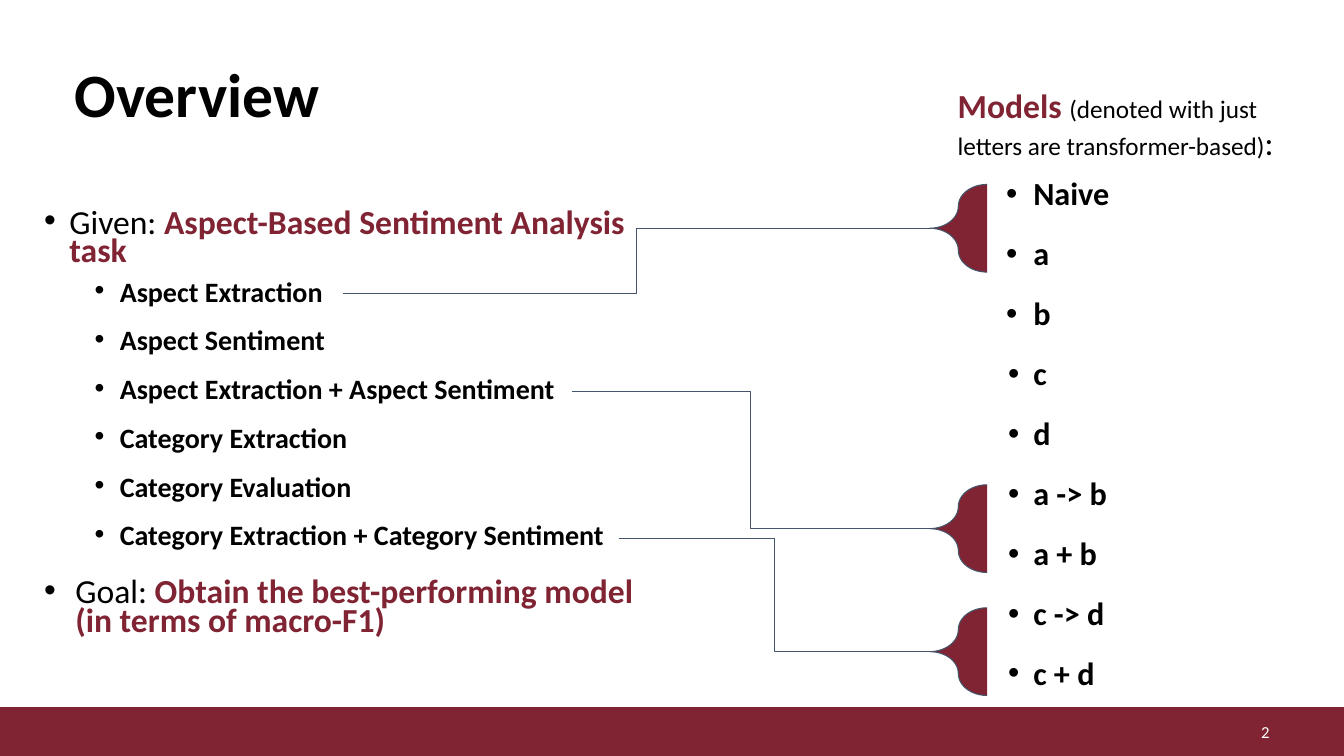
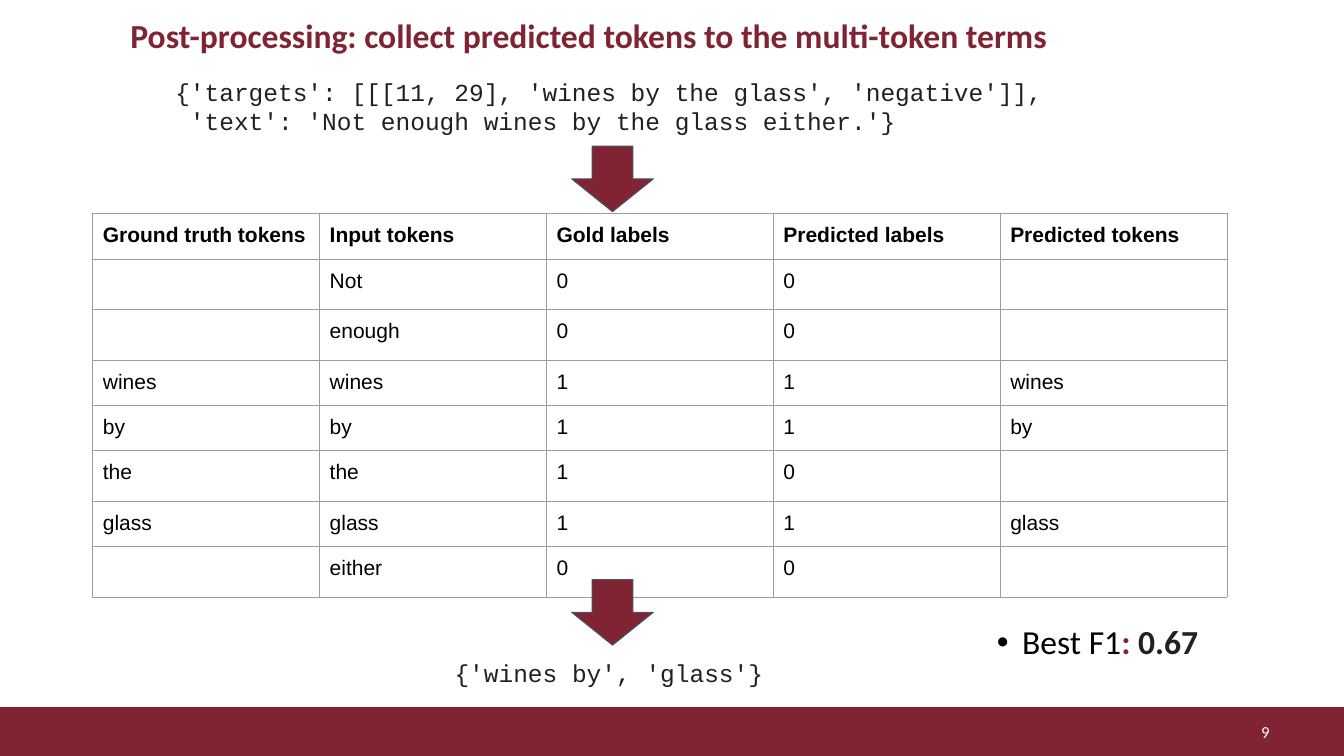
from dataclasses import dataclass

from lxml import etree
from pptx import Presentation
from pptx.dml.color import RGBColor
from pptx.enum.shapes import MSO_CONNECTOR, MSO_SHAPE
from pptx.enum.text import MSO_ANCHOR, PP_ALIGN
from pptx.oxml.ns import qn
from pptx.util import Inches, Pt

RECT = MSO_SHAPE.RECTANGLE
BRACE = MSO_SHAPE.LEFT_BRACE
DOWN_ARROW = MSO_SHAPE.DOWN_ARROW
ELBOW = MSO_CONNECTOR.ELBOW
TOP, MIDDLE = MSO_ANCHOR.TOP, MSO_ANCHOR.MIDDLE
LEFT, CENTER, RIGHT = PP_ALIGN.LEFT, PP_ALIGN.CENTER, PP_ALIGN.RIGHT


@dataclass(frozen=True)
class Theme:
    accent: str = "802433"
    ink: str = "000000"
    code_ink: str = "212121"
    paper: str = "FFFFFF"
    outline: str = "44546A"
    grid: str = "9E9E9E"
    sans: str = "Calibri"
    table_font: str = "Arial"
    mono: str = "Courier New"
    title: float = 44
    lead: float = 24
    model: float = 23
    task: float = 20
    note: float = 18
    code: float = 17.5
    cell: float = 15
    number: float = 12


THEME = Theme()


class Deck:
    def __init__(self, theme):
        self.theme = theme
        self.presentation = Presentation()
        self.presentation.slide_width = Inches(13.33)
        self.presentation.slide_height = Inches(7.5)
        self.slide = None

    def new_slide(self, number):
        layout = self.presentation.slide_layouts[6]
        self.slide = self.presentation.slides.add_slide(layout)
        self.shape(RECT, -0.03, 7.02, 13.42, 0.48, self.theme.accent, 1)
        footer = self.text_box(9.69, 7.06, 3, 0.4, anchor=MIDDLE)
        self.paragraph(footer, [self.run(number, self.theme.number, self.theme.paper)],
                       align=RIGHT)

    def run(self, words, size, color=None, bold=False, font=None):
        return words, size, color or self.theme.ink, bold, font or self.theme.sans

    def text_box(self, left, top, width, height, anchor=TOP, inset=0.05):
        box = self.slide.shapes.add_textbox(
            Inches(left), Inches(top), Inches(width), Inches(height))
        frame = box.text_frame
        frame.word_wrap = True
        frame.vertical_anchor = anchor
        frame.margin_left = frame.margin_right = Inches(0.1)
        frame.margin_top = frame.margin_bottom = Inches(inset)
        return frame

    def paragraph(self, frame, runs, align=LEFT, spacing=1.0, before=0,
                  indent=None, hang=0.25):
        first = frame.paragraphs[0]
        paragraph = frame.add_paragraph() if first.runs else first
        paragraph.alignment = align
        paragraph.line_spacing = spacing
        paragraph.space_before = Pt(before)
        if indent is not None:
            self.bullet(paragraph, indent, hang)
        for words, size, color, bold, font in runs:
            run = paragraph.add_run()
            run.text = words
            run.font.size = Pt(size)
            run.font.name = font
            run.font.bold = bold
            run.font.color.rgb = RGBColor.from_string(color)

    def bullet(self, paragraph, indent, hang):
        properties = paragraph._p.get_or_add_pPr()
        properties.set("marL", str(Inches(indent)))
        properties.set("indent", str(-Inches(hang)))
        color = etree.SubElement(properties, qn("a:buClr"))
        etree.SubElement(color, qn("a:srgbClr"), val=self.theme.ink)
        etree.SubElement(properties, qn("a:buFont"), typeface="Arial")
        etree.SubElement(properties, qn("a:buChar"), char="•")

    def shape(self, kind, left, top, width, height, line=None, weight=0.75):
        shape = self.slide.shapes.add_shape(
            kind, Inches(left), Inches(top), Inches(width), Inches(height))
        shape.shadow.inherit = False
        shape.fill.solid()
        shape.fill.fore_color.rgb = RGBColor.from_string(self.theme.accent)
        shape.line.color.rgb = RGBColor.from_string(line or self.theme.outline)
        shape.line.width = Pt(weight)
        return shape

    def brace(self, left, top, width, height):
        brace = self.shape(BRACE, left, top, width, height)
        brace.adjustments[0] = 0.5

    def elbow(self, x1, y1, x2, y2):
        link = self.slide.shapes.add_connector(
            ELBOW, Inches(x1), Inches(y1), Inches(x2), Inches(y2))
        link.line.color.rgb = RGBColor.from_string(self.theme.outline)
        link.line.width = Pt(0.75)
        etree.SubElement(link._element.spPr, qn("a:effectLst"))

    def code(self, left, top, width, height, lines):
        frame = self.text_box(left, top, width, height, inset=0.1)
        for line in lines:
            self.paragraph(frame, [self.run(line, self.theme.code, self.theme.code_ink,
                                            font=self.theme.mono)])

    def cell_border(self, cell):
        properties = cell._tc.get_or_add_tcPr()
        for side in ("a:lnL", "a:lnR", "a:lnT", "a:lnB"):
            line = etree.SubElement(properties, qn(side), w=str(Pt(0.75)))
            fill = etree.SubElement(line, qn("a:solidFill"))
            etree.SubElement(fill, qn("a:srgbClr"), val=self.theme.grid)

    def table(self, left, top, column_width, rows):
        heights = [0.5 if "" in row else 0.45 for row in rows]
        columns = len(rows[0])
        table = self.slide.shapes.add_table(
            len(rows), columns, Inches(left), Inches(top),
            Inches(column_width * columns), Inches(sum(heights))).table
        table.first_row = table.horz_banding = False
        for column in table.columns:
            column.width = Inches(column_width)
        for r, (row, height) in enumerate(zip(rows, heights)):
            table.rows[r].height = Inches(height)
            for c, words in enumerate(row):
                cell = table.cell(r, c)
                cell.margin_left = cell.margin_right = Inches(0.1)
                cell.margin_top = cell.margin_bottom = Inches(0.1)
                self.cell_border(cell)
                cell.fill.background()
                if words:
                    self.paragraph(cell.text_frame, [self.run(
                        words, self.theme.cell, bold=r == 0, font=self.theme.table_font)])


def overview(deck):
    deck.new_slide("2")
    title = deck.text_box(0.64, 0.53, 12.05, 0.87, anchor=MIDDLE)
    deck.paragraph(title, [deck.run("Overview", THEME.title, bold=True)], spacing=0.9)

    tasks = deck.text_box(0.34, 2.05, 6.34, 4.6)
    deck.paragraph(tasks, [
        deck.run("Given: ", THEME.lead),
        deck.run("Aspect-Based Sentiment Analysis task", THEME.lead, THEME.accent, True),
    ], spacing=0.7, indent=0.25)
    task_names = (
        "Aspect Extraction", "Aspect Sentiment", "Aspect Extraction + Aspect Sentiment",
        "Category Extraction", "Category Evaluation",
        "Category Extraction + Category Sentiment",
    )
    for i, name in enumerate(task_names):
        deck.paragraph(tasks, [deck.run(name, THEME.task, bold=True)],
                       spacing=0.7, before=18 if i else 11, indent=0.75)
    deck.paragraph(tasks, [
        deck.run("Goal: ", THEME.lead),
        deck.run("Obtain the best-performing model (in terms of macro-F1)",
                 THEME.lead, THEME.accent, True),
    ], spacing=0.7, before=22, indent=0.31, hang=0.31)

    models = deck.text_box(9.4, 0.79, 3.77, 6.2, inset=0.1)
    deck.paragraph(models, [
        deck.run("Models ", THEME.lead, THEME.accent, True),
        deck.run("(denoted with just letters are transformer-based)", THEME.note),
        deck.run(":", THEME.lead),
    ], spacing=0.9)
    model_names = ("Naive", "a", "b", "c", "d", "a -> b", "a + b", "c -> d", "c + d")
    for i, name in enumerate(model_names):
        deck.paragraph(models, [deck.run(name, THEME.model, bold=True)], spacing=0.9,
                       before=18 if i else 11, indent=0.75, hang=0.27 if i < 3 else 0.25)

    brace_left, brace_height = 9.22, 0.87
    for task_right, task_y, brace_top in (
            (3.4, 2.91, 1.83), (5.67, 3.88, 4.81), (6.14, 5.34, 6.03)):
        deck.brace(brace_left, brace_top, 0.57, brace_height)
        deck.elbow(task_right, task_y, brace_left, brace_top + brace_height / 2)


def post_processing(deck):
    deck.new_slide("9")
    heading = deck.text_box(-0.72, 0.09, 13.12, 0.57, inset=0.1)
    deck.paragraph(heading, [deck.run(
        "Post-processing: collect predicted tokens to the multi-token terms",
        THEME.lead, THEME.accent, True)], align=CENTER, spacing=0.9, before=5)

    deck.table(0.92, 2.12, 2.25, (
        ("Ground truth tokens", "Input tokens", "Gold labels",
         "Predicted labels", "Predicted tokens"),
        ("", "Not", "0", "0", ""),
        ("", "enough", "0", "0", ""),
        ("wines", "wines", "1", "1", "wines"),
        ("by", "by", "1", "1", "by"),
        ("the", "the", "1", "0", ""),
        ("glass", "glass", "1", "1", "glass"),
        ("", "either", "0", "0", ""),
    ))
    deck.code(1.64, 0.66, 8.86, 0.79, (
        "{'targets': [[[11, 29], 'wines by the glass', 'negative']],",
        " 'text': 'Not enough wines by the glass either.'}",
    ))
    for arrow_top in (1.45, 5.75):
        deck.shape(DOWN_ARROW, 5.67, arrow_top, 0.81, 0.65)
    deck.code(4.41, 6.43, 3.33, 0.5, ("{'wines by', 'glass'}",))

    score = deck.text_box(9.79, 6.11, 2.37, 0.57, inset=0.1)
    deck.paragraph(score, [
        deck.run("Best F1", THEME.lead),
        deck.run(": ", THEME.lead, THEME.accent, True),
        deck.run("0.67", THEME.lead, THEME.code_ink, True),
    ], spacing=0.9, indent=0.25)


def main():
    deck = Deck(THEME)
    overview(deck)
    post_processing(deck)
    deck.presentation.save("out.pptx")


if __name__ == "__main__":
    main()
